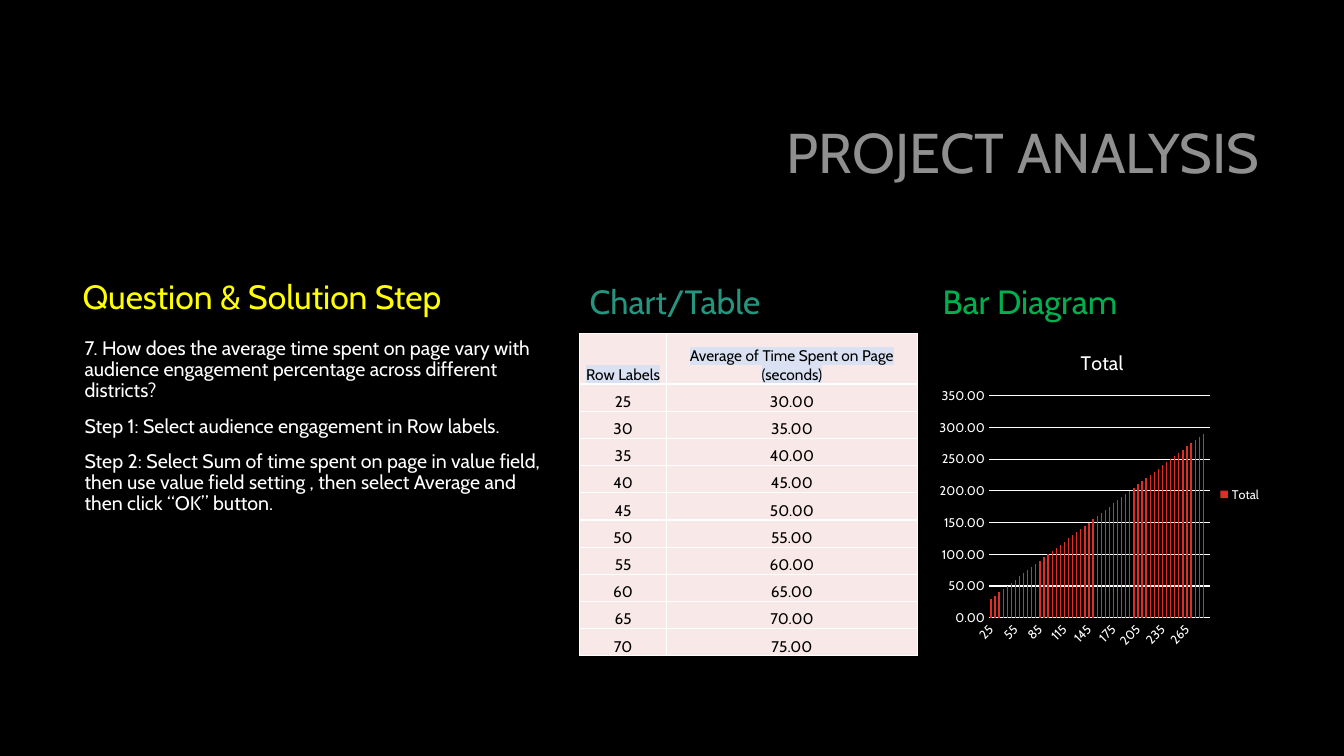
import pptx
import pptx.chart.data
import pptx.dml.color
import pptx.enum.chart
import pptx.enum.text
import pptx.oxml
import pptx.oxml.ns
import pptx.util
from lxml import etree
from pptx.util import Inches

FONT = "Cabin"
COLORS = {
    "background": "000000", "title": "8F8F8F", "question": "FFFF00",
    "table_heading": "26957F", "chart_heading": "00B050", "light": "FFFFFF",
    "cell": "F9E8E8", "cell_text": "000000", "highlight": "D9E1F2", "bars": "DF2E28",
}
ALIGN = pptx.enum.text.PP_ALIGN
ANCHOR = pptx.enum.text.MSO_ANCHOR


def rgb(name):
    return pptx.dml.color.RGBColor.from_string(COLORS[name])


def style_font(font, size, color):
    for field, value in {"name": FONT, "size": pptx.util.Pt(size), "bold": False}.items():
        setattr(font, field, value)
    font.color.rgb = rgb(color)


deck = pptx.Presentation()
deck.slide_width, deck.slide_height = Inches(13.33), Inches(7.5)
slide = deck.slides.add_slide(deck.slide_layouts[6])
slide.background.fill.solid()
slide.background.fill.fore_color.rgb = rgb("background")

# Title, column headings and solution steps
steps = [
    "7. How does the average time spent on page vary with audience engagement "
    "percentage across different districts?",
    "Step 1: Select audience engagement in Row labels.",
    "Step 2: Select Sum of time spent on page in value field, then use value field "
    "setting , then select Average and then click “OK” button.",
]
texts = [
    ((3.17, 0.83, 9.42, 1.43), ["PROJECT ANALYSIS"], 40, "title", ANCHOR.MIDDLE, ALIGN.RIGHT, 0),
    ((0.72, 2.56, 4.88, 0.63), ["Question & Solution Step"], 24, "question", ANCHOR.BOTTOM, ALIGN.LEFT, 10),
    ((0.74, 3.31, 4.86, 3.19), steps, 14, "light", ANCHOR.TOP, ALIGN.LEFT, 10),
    ((5.75, 2.61, 3.35, 0.63), ["Chart/Table"], 24, "table_heading", ANCHOR.BOTTOM, ALIGN.LEFT, 10),
    ((9.25, 2.61, 3.36, 0.63), ["Bar Diagram"], 24, "chart_heading", ANCHOR.BOTTOM, ALIGN.LEFT, 10),
]
for place, lines, size, color, anchor, align, space in texts:
    frame = slide.shapes.add_textbox(*map(Inches, place)).text_frame
    frame.word_wrap = True
    frame.vertical_anchor = anchor
    frame.text = "\n".join(lines)
    for paragraph in frame.paragraphs:
        paragraph.alignment = align
        paragraph.line_spacing = 0.9
        paragraph.space_before = pptx.util.Pt(space)
        style_font(paragraph.runs[0].font, size, color)

# Table: average time is five seconds above the engagement figure
engagement = range(25, 290, 5)
rows = [("Row Labels", "Average of Time Spent on Page (seconds)")]
rows += [(str(level), f"{level + 5:.2f}") for level in engagement[:10]]
averages = slide.shapes.add_table(
    len(rows), 2, Inches(5.75), Inches(3.31), Inches(3.35), Inches(3.2)).table
averages.first_row = averages.horz_banding = False
for column, width in zip(averages.columns, (0.86, 2.49)):
    column.width = Inches(width)

cell_format = {
    "vertical_anchor": ANCHOR.BOTTOM, "margin_left": Inches(0.01),
    "margin_right": Inches(0.01), "margin_top": Inches(0.01), "margin_bottom": 0,
}
namespace = pptx.oxml.ns.nsdecls("a")
for r, values in enumerate(rows):
    averages.rows[r].height = Inches(0.27 if r else 0.5)
    for c, value in enumerate(values):
        cell = averages.cell(r, c)
        for field, setting in cell_format.items():
            setattr(cell, field, setting)
        cell.fill.solid()
        cell.fill.fore_color.rgb = rgb("cell")
        cell.text = value
        paragraph = cell.text_frame.paragraphs[0]
        paragraph.alignment = ALIGN.CENTER
        run = paragraph.runs[0]
        style_font(run.font, 11, "cell_text")
        if r == 0:
            fill = run._r.rPr.find(pptx.oxml.ns.qn("a:solidFill"))
            fill.addnext(pptx.oxml.parse_xml(
                f'<a:highlight {namespace}><a:srgbClr val="{COLORS["highlight"]}"/></a:highlight>'))
        for index, side in enumerate(("lnL", "lnR", "lnT", "lnB")):
            cell._tc.tcPr.insert(index, pptx.oxml.parse_xml(
                f'<a:{side} {namespace} w="12700"><a:solidFill>'
                f'<a:srgbClr val="{COLORS["light"]}"/></a:solidFill></a:{side}>'))

# Bar diagram
chart_data = pptx.chart.data.CategoryChartData(number_format="0.00")
chart_data.categories = [str(level) for level in engagement] + ["(blank)"]
chart_data.add_series("Total", [level + 5 for level in engagement] + [None])
chart = slide.shapes.add_chart(
    pptx.enum.chart.XL_CHART_TYPE.COLUMN_CLUSTERED,
    Inches(9.25), Inches(3.31), Inches(3.36), Inches(3.19), chart_data).chart
style_font(chart.font, 10, "light")
chart.has_title = True
chart.chart_title.text_frame.text = "Total"
style_font(chart.chart_title.text_frame.paragraphs[0].runs[0].font, 14, "light")
chart.chart_title.include_in_layout = False
chart.has_legend = True
chart.legend.position = pptx.enum.chart.XL_LEGEND_POSITION.RIGHT
chart.legend.include_in_layout = False
style_font(chart.legend.font, 9, "light")

plot = chart.plots[0]
plot.gap_width, plot.overlap, plot.vary_by_categories = 219, -27, False
bars = plot.series[0]
bars.invert_if_negative = False
bars.format.fill.solid()
bars.format.fill.fore_color.rgb = rgb("bars")

levels, seconds = chart.category_axis, chart.value_axis
for axis in (levels, seconds):
    axis.major_tick_mark = axis.minor_tick_mark = pptx.enum.chart.XL_TICK_MARK.NONE
    style_font(axis.tick_labels.font, 9, "light")
seconds.has_major_gridlines = True
for line in (levels.format.line, seconds.major_gridlines.format.line):
    line.color.rgb = rgb("light")
    line.width = pptx.util.Pt(0.75)
seconds.format.line.fill.background()
seconds.tick_labels.number_format = "0.00"
seconds.tick_labels.number_format_is_linked = False

deck.save("out.pptx")
